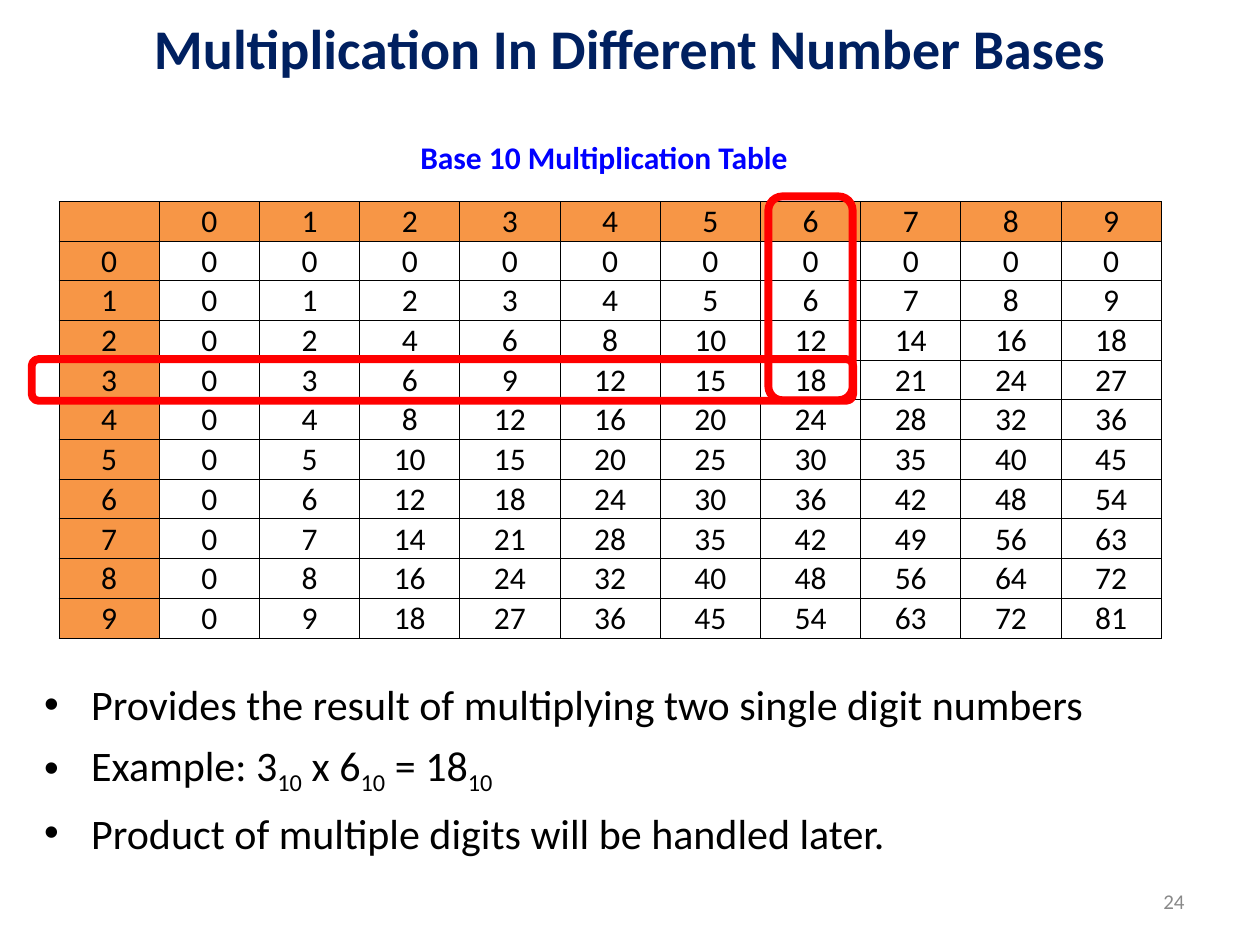
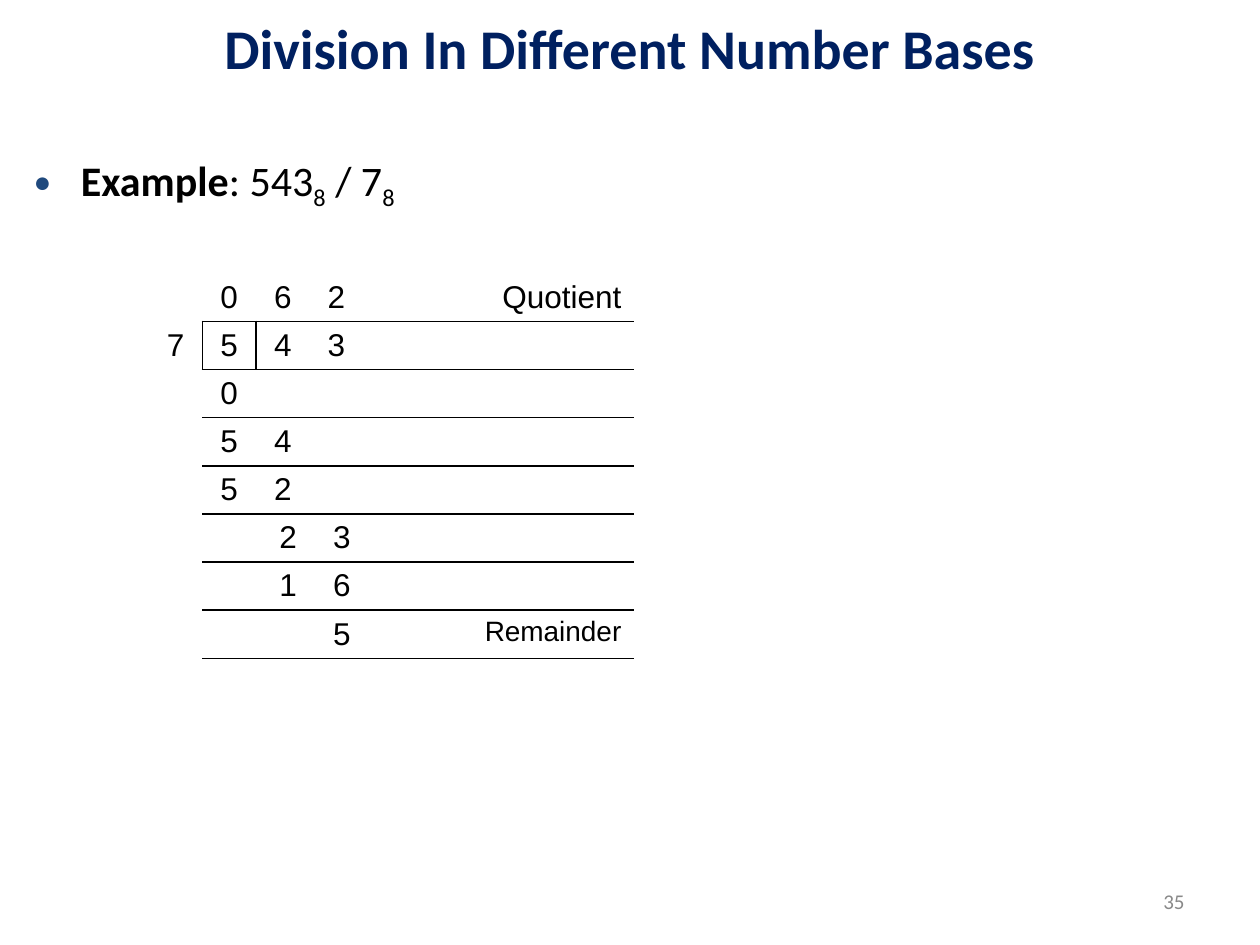
from dataclasses import dataclass
from typing import Any, NamedTuple

from lxml import etree
from pptx import Presentation
from pptx.dml.color import RGBColor
from pptx.enum.shapes import MSO_SHAPE
from pptx.enum.text import MSO_ANCHOR, PP_ALIGN
from pptx.oxml.ns import qn
from pptx.slide import Slide
from pptx.table import Table, _Cell
from pptx.text.text import _Paragraph
from pptx.util import Cm, Pt

ROUNDED = MSO_SHAPE.ROUNDED_RECTANGLE
TOP, MIDDLE = MSO_ANCHOR.TOP, MSO_ANCHOR.MIDDLE
LEFT, CENTER, RIGHT, JUSTIFY = PP_ALIGN.LEFT, PP_ALIGN.CENTER, PP_ALIGN.RIGHT, PP_ALIGN.JUSTIFY

BLACK = RGBColor(0x00, 0x00, 0x00)
NAVY = RGBColor(0x00, 0x20, 0x60)
BLUE = RGBColor(0x00, 0x00, 0xFF)
STEEL = RGBColor(0x1F, 0x49, 0x7D)
GRAY = RGBColor(0x89, 0x89, 0x89)
ORANGE = RGBColor(0xF7, 0x96, 0x46)
RED = RGBColor(0xFF, 0x00, 0x00)

PLAIN_TABLE_STYLE = "{2D5ABB26-0587-4C30-8999-92F81FD0307C}"
BASE = 10
DIVISION_COLUMNS = [1.08] * 7 + [1.35, 1.68, 1.35]
DIVISION_ROWS = [0.97] * 8 + [1.35]
FIRST_DIGIT_COLUMN = 3


class Box(NamedTuple):
    left: float
    top: float
    width: float
    height: float


class Piece(NamedTuple):
    text: str
    subscript: bool = False
    bold: bool = False


class Bullet(NamedTuple):
    char: str
    color: RGBColor = BLACK
    percent: int = 100


class Entry(NamedTuple):
    row: int
    column: int
    text: str
    align: Any = CENTER
    size: int = 18


@dataclass(frozen=True)
class TextStyle:
    size: int
    color: RGBColor = BLACK
    bold: bool = False
    align: Any = LEFT
    anchor: Any = TOP
    wrap: bool = True
    font: str = "Calibri"
    space_before: float = 0
    line_spacing: float = 1.0
    bullet: Bullet | None = None


TITLE = TextStyle(32, NAVY, True, CENTER, MIDDLE)
PAGE_NUMBER = TextStyle(12, GRAY, align=RIGHT, anchor=MIDDLE)
TABLE_CAPTION = TextStyle(18, BLUE, True, CENTER, wrap=False)
NOTES = TextStyle(24, align=JUSTIFY, space_before=6, bullet=Bullet("•"))
EXAMPLE = TextStyle(24, line_spacing=1.2, bullet=Bullet("●", STEEL, 70))
PRODUCT = TextStyle(18, align=CENTER)


def apply_formats(target: Any, formats: dict[str, Any]) -> None:
    for name, value in formats.items():
        setattr(target, name, value)


def add_bullet(paragraph: _Paragraph, bullet: Bullet) -> None:
    properties = paragraph._p.get_or_add_pPr()
    properties.set("marL", str(Cm(0.95)))
    properties.set("indent", str(Cm(-0.95)))
    color = etree.SubElement(properties, qn("a:buClr"))
    etree.SubElement(color, qn("a:srgbClr"), val=str(bullet.color))
    etree.SubElement(properties, qn("a:buSzPct"), val=str(bullet.percent * 1000))
    etree.SubElement(properties, qn("a:buFont"), typeface="Arial")
    etree.SubElement(properties, qn("a:buChar"), char=bullet.char)


def write_paragraph(paragraph: _Paragraph, pieces: list[Piece], style: TextStyle) -> None:
    if style.bullet:
        add_bullet(paragraph, style.bullet)
    apply_formats(paragraph, {"alignment": style.align, "line_spacing": style.line_spacing})
    for piece in pieces:
        run = paragraph.add_run()
        run.text = piece.text
        apply_formats(run.font, {"name": style.font, "size": Pt(style.size),
                                 "bold": style.bold or piece.bold})
        run.font.color.rgb = style.color
        if piece.subscript:
            run._r.get_or_add_rPr().set("baseline", "-25000")


def add_text(slide: Slide, box: Box, lines: list[list[Piece]], style: TextStyle) -> None:
    frame = slide.shapes.add_textbox(*map(Cm, box)).text_frame
    apply_formats(frame, {"word_wrap": style.wrap, "vertical_anchor": style.anchor})
    for index, pieces in enumerate(lines):
        paragraph = frame.add_paragraph() if index else frame.paragraphs[0]
        write_paragraph(paragraph, pieces, style)
        if index:
            paragraph.space_before = Pt(style.space_before)


def add_plain_table(slide: Slide, left: float, top: float,
                    widths: list[float], heights: list[float]) -> Table:
    box = Box(left, top, sum(widths), sum(heights))
    table = slide.shapes.add_table(len(heights), len(widths), *map(Cm, box)).table
    apply_formats(table, {"first_row": False, "horz_banding": False})
    table._tbl.tblPr.find(qn("a:tableStyleId")).text = PLAIN_TABLE_STYLE
    for column, width in zip(table.columns, widths):
        column.width = Cm(width)
    for row, height in zip(table.rows, heights):
        row.height = Cm(height)
    return table


def add_borders(cell: _Cell, sides: str, points: float) -> None:
    properties = cell._tc.get_or_add_tcPr()
    for side in sides:
        line = etree.SubElement(properties, qn(f"a:ln{side}"), w=str(Pt(points)))
        fill = etree.SubElement(line, qn("a:solidFill"))
        etree.SubElement(fill, qn("a:srgbClr"), val=str(BLACK))


def add_highlight(slide: Slide, box: Box) -> None:
    outline = slide.shapes.add_shape(ROUNDED, *map(Cm, box))
    outline.shadow.inherit = False
    outline.fill.background()
    outline.line.color.rgb = RED
    outline.line.width = Pt(4.5)


def add_base_slide(deck: Any, title: str, number: int) -> Slide:
    slide = deck.slides.add_slide(deck.slide_layouts[6])
    add_text(slide, Box(0, 0, 25.4, 1.9), [[Piece(title)]], TITLE)
    add_text(slide, Box(18.2, 17.65, 5.93, 1.02), [[Piece(str(number))]], PAGE_NUMBER)
    return slide


def product_text(row: int, column: int) -> str:
    if row and column:
        return str((row - 1) * (column - 1))
    return str(row + column - 1) if row or column else ""


def add_multiplication_table(slide: Slide) -> None:
    size = BASE + 1
    table = add_plain_table(slide, 1.19, 4.06, [2.02] * size, [0.8] * size)
    margins = {"margin_left": Cm(0.02), "margin_right": Cm(0.02),
               "margin_top": Cm(0.02), "margin_bottom": 0, "vertical_anchor": MIDDLE}
    for row in range(size):
        for column in range(size):
            cell = table.cell(row, column)
            apply_formats(cell, margins)
            add_borders(cell, "LRTB", 0.5)
            if row and column:
                cell.fill.background()
            else:
                cell.fill.solid()
                cell.fill.fore_color.rgb = ORANGE
            pieces = [Piece(product_text(row, column))]
            write_paragraph(cell.text_frame.paragraphs[0], pieces, PRODUCT)


def add_long_division(slide: Slide) -> None:
    entries = [
        Entry(0, 3, "0"), Entry(0, 4, "6"), Entry(0, 5, "2"), Entry(0, 7, "Quotient", RIGHT),
        Entry(1, 2, "7"), Entry(1, 3, "5"), Entry(1, 4, "4"), Entry(1, 5, "3"),
        Entry(2, 3, "0"),
        Entry(3, 3, "5"), Entry(3, 4, "4"),
        Entry(4, 3, "5"), Entry(4, 4, "2"),
        Entry(5, 4, "2", RIGHT), Entry(5, 5, "3", RIGHT),
        Entry(6, 4, "1", RIGHT), Entry(6, 5, "6", RIGHT),
        Entry(7, 5, "5", RIGHT), Entry(7, 7, "Remainder", RIGHT, 16),
    ]
    table = add_plain_table(slide, 0.84, 5.51, DIVISION_COLUMNS, DIVISION_ROWS)
    last_row, last_column = len(DIVISION_ROWS) - 1, len(DIVISION_COLUMNS) - 1
    for row in range(last_row + 1):
        for column in range(last_column + 1):
            cell = table.cell(row, column)
            cell.margin_bottom = 0
            if (row, column) == (1, FIRST_DIGIT_COLUMN):
                add_borders(cell, "L", 1)
            if row % 2 and column >= FIRST_DIGIT_COLUMN:
                add_borders(cell, "T", 1)
            cell.fill.background()
    for row, first_column in ((0, 7), (7, 7), (last_row, 0)):
        table.cell(row, first_column).merge(table.cell(row, last_column))
    for entry in entries:
        style = TextStyle(entry.size, align=entry.align, font="Arial")
        paragraph = table.cell(entry.row, entry.column).text_frame.paragraphs[0]
        write_paragraph(paragraph, [Piece(entry.text)], style)


def build_multiplication(deck: Any) -> None:
    slide = add_base_slide(deck, "Multiplication In Different Number Bases", 24)
    add_multiplication_table(slide)
    ten = Piece("10", subscript=True)
    add_text(slide, Box(0.64, 13.55, 23.92, 4.45), [
        [Piece("Provides the result of multiplying two single digit numbers")],
        [Piece("Example: 3"), ten, Piece(" x 6"), ten, Piece(" = 18"), ten],
        [Piece("Product of multiple digits will be handled later.")],
    ], NOTES)
    add_text(slide, Box(8.18, 2.65, 8, 1.27),
             [[Piece("Base 10 Multiplication Table")]], TABLE_CAPTION)
    add_highlight(slide, Box(0.64, 7.24, 16.56, 0.84))
    add_highlight(slide, Box(15.49, 3.96, 1.7, 4.11))


def build_division(deck: Any) -> None:
    slide = add_base_slide(deck, "Division In Different Number Bases", 35)
    add_long_division(slide)
    eight = Piece("8", subscript=True)
    add_text(slide, Box(0.43, 2.75, 24.77, 2.75),
             [[Piece("Example", bold=True), Piece(": 543"), eight, Piece(" / 7"), eight]],
             EXAMPLE)


def main() -> None:
    deck = Presentation()
    apply_formats(deck, {"slide_width": Cm(25.4), "slide_height": Cm(19.05)})
    build_multiplication(deck)
    build_division(deck)
    deck.save("out.pptx")


if __name__ == "__main__":
    main()
